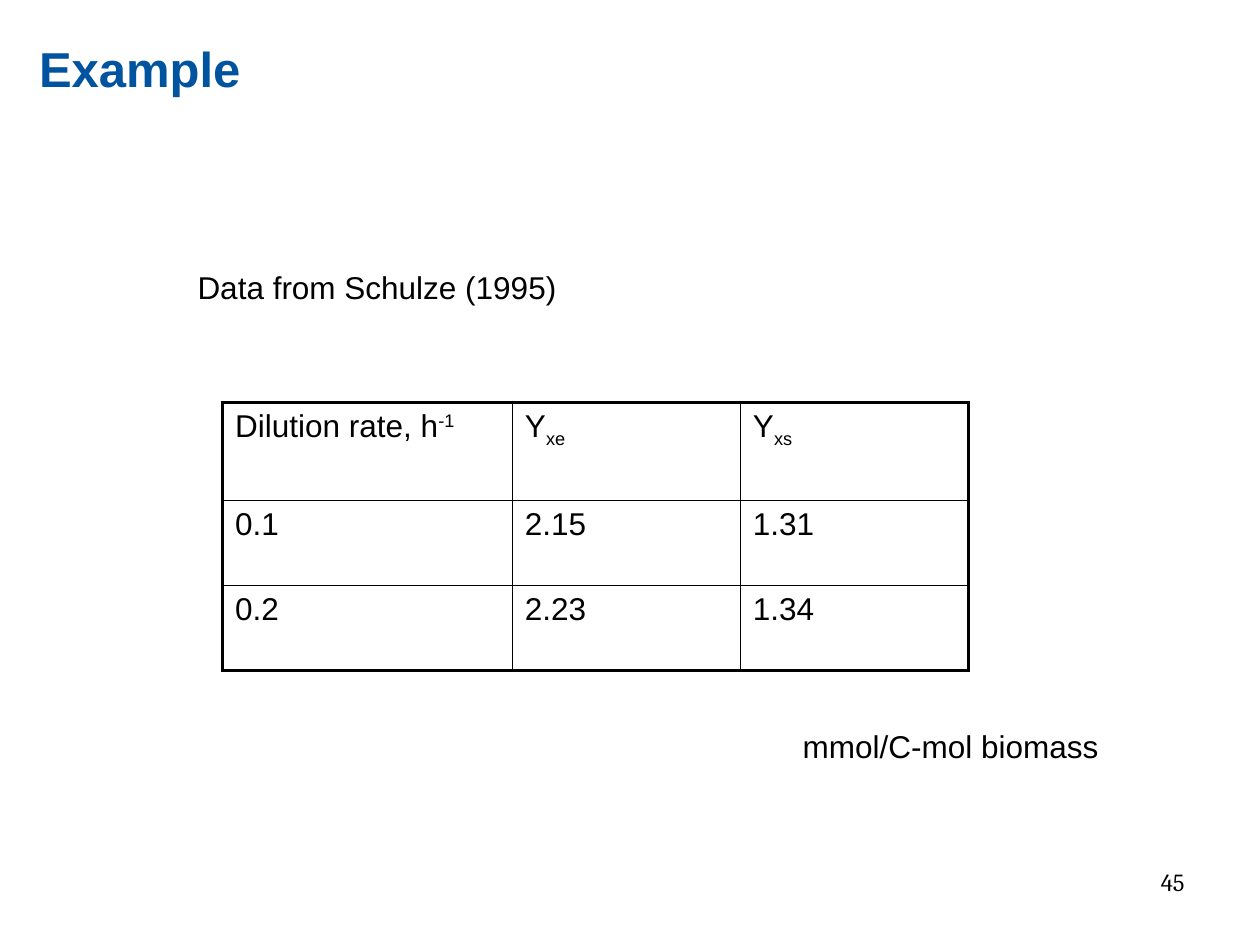
from lxml import etree
from pptx import Presentation
from pptx.dml.color import RGBColor
from pptx.enum.text import MSO_ANCHOR, PP_ALIGN
from pptx.oxml.ns import qn
from pptx.util import Pt

LEFT, CENTER, RIGHT = PP_ALIGN.LEFT, PP_ALIGN.CENTER, PP_ALIGN.RIGHT
TOP = MSO_ANCHOR.TOP
COLORS = {"title": "00549F", "text": "000000", "border": "000000"}

TITLE = "Example"
SOURCE_NOTE = "Data from Schulze (1995)"
UNIT_NOTE = "mmol/C-mol biomass"
PAGE_NUMBER = "45"
SUPERSCRIPT, SUBSCRIPT = 30000, -25000
YIELDS = [
    [("Dilution rate, h", "-1", SUPERSCRIPT), ("Y", "xe", SUBSCRIPT), ("Y", "xs", SUBSCRIPT)],
    [("0.1",), ("2.15",), ("1.31",)],
    [("0.2",), ("2.23",), ("1.34",)],
]
COLUMN_WIDTHS = [165.6, 130.3, 130.3]
ROW_HEIGHTS = [56, 48.6, 48.6]
INDENT = 13.5
OUTER_LINE, INNER_LINE = 2.25, 1


def style(paragraph, size=18, font="Arial", color="text", bold=False, align=LEFT):
    paragraph.alignment = align
    paragraph.font.size = Pt(size)
    paragraph.font.name = font
    paragraph.font.bold = bold
    paragraph.font.color.rgb = RGBColor.from_string(COLORS[color])


def place(shape, left, top, width, height):
    shape.left, shape.top = Pt(left), Pt(top)
    shape.width, shape.height = Pt(width), Pt(height)


def remove_margins(frame):
    frame.margin_left = frame.margin_top = frame.margin_right = frame.margin_bottom = 0


def set_indent(paragraph, margin, first_line):
    properties = paragraph._p.get_or_add_pPr()
    properties.set("marL", str(Pt(margin)))
    properties.set("indent", str(Pt(first_line)))


def add_text(page, text, area, wrap=True, **look):
    box = page.shapes.add_textbox(*map(Pt, area))
    frame = box.text_frame
    frame.word_wrap = wrap
    paragraph = frame.paragraphs[0]
    paragraph.text = text
    style(paragraph, **look)
    return frame


def set_borders(cell, widths):
    properties = cell._tc.get_or_add_tcPr()
    for position, (side, width) in enumerate(widths.items()):
        line = etree.Element(qn(f"a:ln{side}"), w=str(Pt(width)))
        fill = etree.SubElement(line, qn("a:solidFill"))
        etree.SubElement(fill, qn("a:srgbClr"), val=COLORS["border"])
        properties.insert(position, line)


def fill_cell(cell, text, script=None, baseline=0):
    paragraph = cell.text_frame.paragraphs[0]
    set_indent(paragraph, INDENT, -INDENT)
    paragraph.add_run().text = text
    if script:
        span = paragraph.add_run()
        span.text = script
        span.font._element.set("baseline", str(baseline))
    style(paragraph)
    cell.fill.background()


def add_yield_table(page):
    rows, columns = len(ROW_HEIGHTS), len(COLUMN_WIDTHS)
    area = (127.2, 229.9, sum(COLUMN_WIDTHS), sum(ROW_HEIGHTS))
    table = page.shapes.add_table(rows, columns, *map(Pt, area)).table
    table.first_row = table.horz_banding = False
    for column, width in zip(table.columns, COLUMN_WIDTHS):
        column.width = Pt(width)
    for row, height in zip(table.rows, ROW_HEIGHTS):
        row.height = Pt(height)
    for r, values in enumerate(YIELDS):
        for c, value in enumerate(values):
            cell = table.cell(r, c)
            fill_cell(cell, *value)
            at_edge = {"L": c == 0, "R": c == columns - 1, "T": r == 0, "B": r == rows - 1}
            set_borders(cell, {side: OUTER_LINE if edge else INNER_LINE
                               for side, edge in at_edge.items()})


def main():
    deck = Presentation()
    deck.slide_width, deck.slide_height = Pt(720), Pt(540)
    page = deck.slides.add_slide(deck.slide_layouts[5])

    title = page.shapes.title
    place(title, 22.3, 18.7, 504.7, 45.4)
    title.text = TITLE
    title.text_frame.vertical_anchor = TOP
    remove_margins(title.text_frame)
    heading = title.text_frame.paragraphs[0]
    heading.line_spacing = 1.1
    style(heading, size=28, color="title", bold=True)

    source = add_text(page, SOURCE_NOTE, (99.4, 151.2, 427.7, 272.2))
    remove_margins(source)
    source.paragraphs[0].line_spacing = 1.1
    set_indent(source.paragraphs[0], 0, INDENT)

    add_yield_table(page)
    add_text(page, UNIT_NOTE, (451.4, 411.8, 183.6, 28.8), wrap=False, align=CENTER)
    add_text(page, PAGE_NUMBER, (516.2, 491.8, 167.8, 37.4),
             size=14, font="Cambria", align=RIGHT)
    deck.save("out.pptx")


if __name__ == "__main__":
    main()
